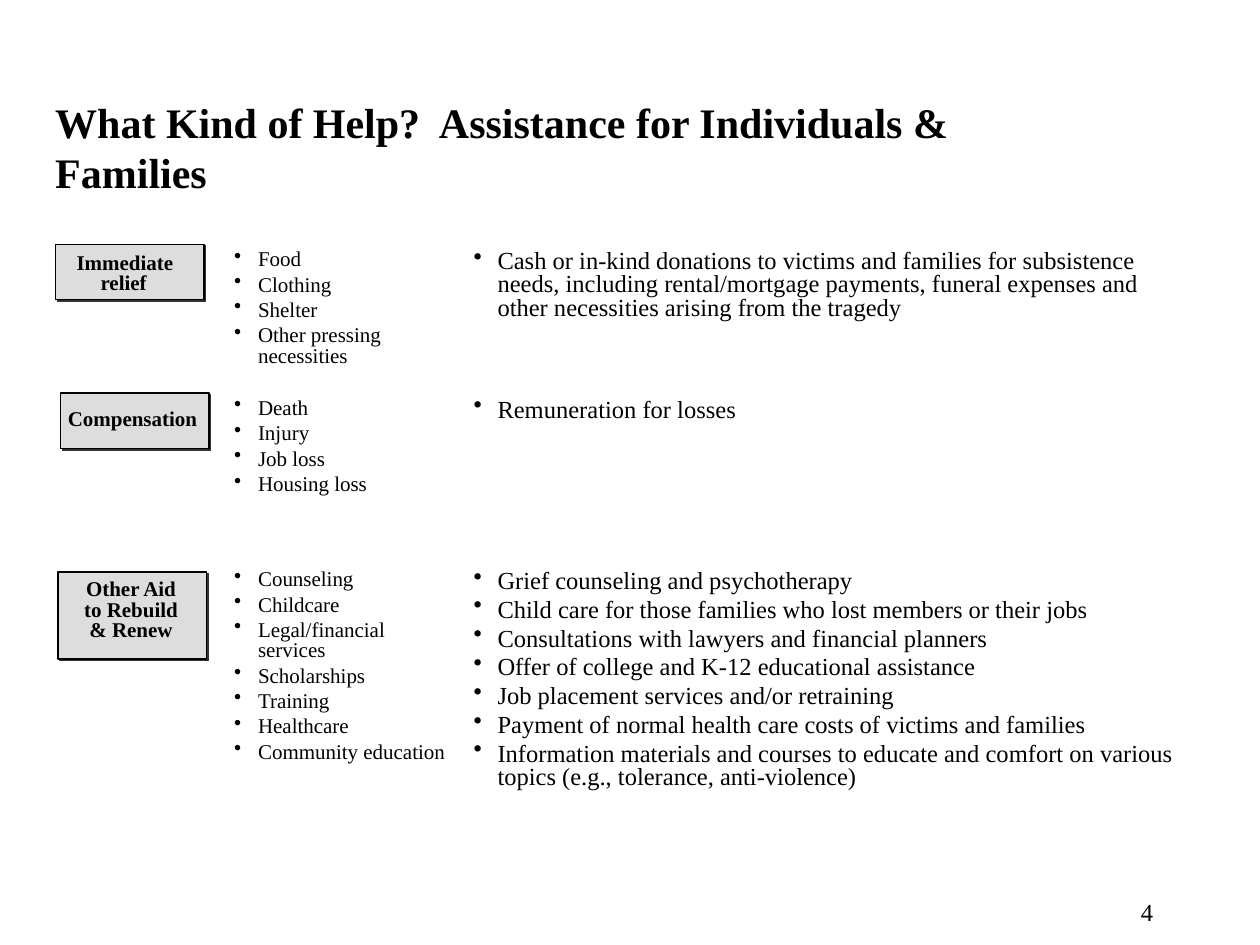
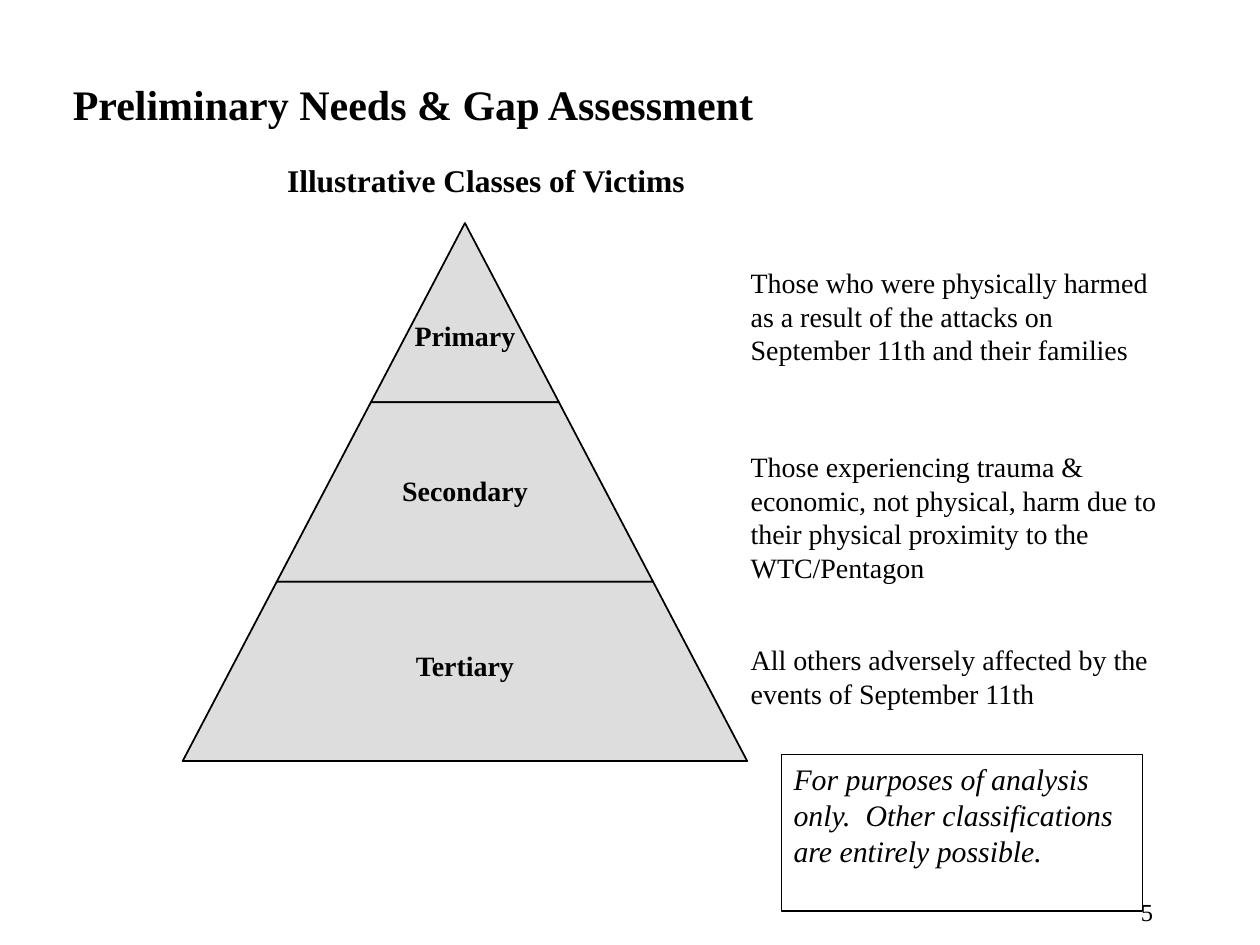
from dataclasses import dataclass
from typing import NamedTuple

from lxml.etree import SubElement
from pptx import Presentation
from pptx.dml.color import RGBColor
from pptx.enum.shapes import MSO_SHAPE
from pptx.enum.text import MSO_ANCHOR, PP_ALIGN
from pptx.oxml.ns import qn
from pptx.shapes.autoshape import Shape
from pptx.slide import Slide
from pptx.util import Inches, Pt

COLORS = {"ink": "000000", "panel": "DDDDDD", "shadow": "333333"}
FONT = "Times New Roman"
HANGING = 0.19


class Box(NamedTuple):
    left: float
    top: float
    width: float
    height: float


@dataclass(frozen=True)
class TextStyle:
    size: float
    bold: bool = False
    italic: bool = False
    align: PP_ALIGN = PP_ALIGN.LEFT
    anchor: MSO_ANCHOR = MSO_ANCHOR.TOP
    line_spacing: float = 1.0
    space_after: float = 0
    hanging: float = 0
    bullet: bool = False
    padded: bool = True


TITLE = TextStyle(24, bold=True, anchor=MSO_ANCHOR.MIDDLE)
SUBTITLE = TextStyle(18, bold=True, anchor=MSO_ANCHOR.MIDDLE)
PAGE_NUMBER = TextStyle(14, align=PP_ALIGN.RIGHT)
BADGE_HANGING = TextStyle(12, bold=True, line_spacing=0.8, hanging=HANGING)
BADGE_CENTERED = TextStyle(12, bold=True, line_spacing=0.8, align=PP_ALIGN.CENTER)
EXAMPLES = TextStyle(12, line_spacing=0.8, space_after=3, hanging=HANGING, bullet=True)
DETAILS = TextStyle(14, line_spacing=0.8, space_after=3, hanging=HANGING, bullet=True)
TIER_LABEL = TextStyle(16, bold=True, line_spacing=0.8, align=PP_ALIGN.CENTER,
                       anchor=MSO_ANCHOR.MIDDLE, padded=False)
DESCRIPTION = TextStyle(16)
NOTE = TextStyle(17, italic=True)


@dataclass(frozen=True)
class HelpKind:
    name: str
    badge: Box
    label: Box
    label_style: TextStyle
    list_top: float
    list_height: float
    examples: list[str]
    details: list[str]


@dataclass(frozen=True)
class Tier:
    name: str
    label_top: float
    description: str
    description_box: Box


HELP_KINDS = [
    HelpKind("Immediate relief", Box(0.44, 1.94, 1.18, 0.44), Box(0.51, 1.97, 1.03, 0.42),
             BADGE_HANGING, 1.94, 1.03,
             ["Food", "Clothing", "Shelter", "Other pressing necessities"],
             ["Cash or in-kind donations to victims and families for subsistence needs, "
              "including rental/mortgage payments, funeral expenses and other necessities "
              "arising from the tragedy"]),
    HelpKind("Compensation", Box(0.48, 3.12, 1.18, 0.44), Box(0.44, 3.21, 1.26, 0.42),
             BADGE_HANGING, 3.12, 0.87,
             ["Death", "Injury", "Job loss", "Housing loss"],
             ["Remuneration for losses"]),
    HelpKind("Other Aid to Rebuild & Renew", Box(0.46, 4.54, 1.18, 0.69),
             Box(0.5, 4.56, 1.08, 0.58), BADGE_CENTERED, 4.48, 1.63,
             ["Counseling", "Childcare", "Legal/financial\vservices", "Scholarships",
              "Training", "Healthcare", "Community education"],
             ["Grief counseling and psychotherapy",
              "Child care for those families who lost members or their jobs",
              "Consultations with lawyers and financial planners",
              "Offer of college and K-12 educational assistance",
              "Job placement services and/or retraining",
              "Payment of normal health care costs of victims and families",
              "Information materials and courses to educate and comfort on various topics "
              "(e.g., tolerance, anti-violence)"]),
]

TIERS = [
    Tier("Primary", 2.58,
         "Those who were physically harmed as a result of the attacks on September 11th "
         "and their families", Box(5.86, 2.06, 3.36, 1.17)),
    Tier("Secondary", 3.81,
         "Those experiencing trauma & economic, not physical, harm due to their physical "
         "proximity to the WTC/Pentagon", Box(5.86, 3.52, 3.67, 1.17)),
    Tier("Tertiary", 5.2,
         "All others adversely affected by the events of September 11th",
         Box(5.86, 5.05, 3.53, 0.64)),
]
PYRAMID = Box(1.45, 1.77, 4.48, 4.27)


def color(name: str) -> RGBColor:
    return RGBColor.from_string(COLORS[name])


def set_outline(shape: Shape, width: float) -> None:
    shape.line.color.rgb = color("ink")
    shape.line.width = Pt(width)


def paint_panel(shape: Shape, line_width: float) -> None:
    shape.shadow.inherit = False
    shape.fill.solid()
    shape.fill.fore_color.rgb = color("panel")
    set_outline(shape, line_width)


def add_text(slide: Slide, box: Box, lines: list[str], style: TextStyle) -> Shape:
    shape = slide.shapes.add_textbox(*map(Inches, box))
    frame = shape.text_frame
    frame.word_wrap = True
    frame.vertical_anchor = style.anchor
    if not style.padded:
        frame.margin_left = frame.margin_right = frame.margin_top = frame.margin_bottom = 0
    for index, line in enumerate(lines):
        paragraph = frame.paragraphs[0] if index == 0 else frame.add_paragraph()
        paragraph.text = line
        paragraph.alignment = style.align
        paragraph.line_spacing = style.line_spacing
        paragraph.space_after = Pt(style.space_after)
        properties = paragraph._p.get_or_add_pPr()
        if style.hanging:
            properties.set("marL", str(Inches(style.hanging)))
            properties.set("indent", str(-Inches(style.hanging)))
        if style.bullet:
            SubElement(properties, qn("a:buChar"), char="•")
        font = paragraph.font
        font.name = FONT
        font.size = Pt(style.size)
        font.bold = style.bold
        font.italic = style.italic
        font.color.rgb = color("ink")
    return shape


def add_badge(slide: Slide, box: Box) -> None:
    badge = slide.shapes.add_shape(MSO_SHAPE.RECTANGLE, *map(Inches, box))
    paint_panel(badge, 0.75)
    effects = badge._element.spPr.find(qn("a:effectLst"))
    shadow = SubElement(effects, qn("a:outerShdw"), dist=str(Pt(1.4)), dir=str(45 * 60000),
                        algn="ctr", rotWithShape="0")
    SubElement(shadow, qn("a:srgbClr"), val=COLORS["shadow"])


def add_tier(slide: Slide, index: int) -> None:
    center = PYRAMID.left + PYRAMID.width / 2
    step = PYRAMID.height / len(TIERS)
    slope = PYRAMID.width / 2 / len(TIERS)
    top, bottom = (PYRAMID.top + step * level for level in (index, index + 1))
    upper, lower = slope * index, slope * (index + 1)
    corners = [(center - upper, top), (center - lower, bottom), (center + lower, bottom)]
    if upper:
        corners.append((center + upper, top))
    points = [(Inches(x), Inches(y)) for x, y in corners]
    builder = slide.shapes.build_freeform(*points[0])
    builder.add_line_segments(points[1:], close=True)
    paint_panel(builder.convert_to_shape(), 1)


def add_slide(presentation: Presentation, title: str, title_box: Box, number: int) -> Slide:
    slide = presentation.slides.add_slide(presentation.slide_layouts[6])
    add_text(slide, title_box, [title], TITLE)
    add_text(slide, Box(7.17, 7.07, 2.08, 0.27), [str(number)], PAGE_NUMBER)
    return slide


def build_help_slide(presentation: Presentation) -> None:
    slide = add_slide(presentation, "What Kind of Help?  Assistance for Individuals & Families",
                      Box(0.34, 0.75, 8.5, 0.83), 4)
    for kind in HELP_KINDS:
        add_badge(slide, kind.badge)
        add_text(slide, kind.label, [kind.name], kind.label_style)
        add_text(slide, Box(1.76, kind.list_top, 2.1, kind.list_height), kind.examples, EXAMPLES)
        add_text(slide, Box(3.66, kind.list_top, 5.88, kind.list_height), kind.details, DETAILS)


def build_needs_slide(presentation: Presentation) -> None:
    slide = add_slide(presentation, "Preliminary Needs & Gap Assessment",
                      Box(0.48, 0.53, 8.67, 0.58), 5)
    add_text(slide, Box(2.18, 1.14, 3.56, 0.58), ["Illustrative Classes of Victims"], SUBTITLE)
    for index, tier in enumerate(TIERS):
        add_tier(slide, index)
        label = Box(PYRAMID.left, tier.label_top, PYRAMID.width, 0.21)
        add_text(slide, label, [tier.name], TIER_LABEL)
        add_text(slide, tier.description_box, [tier.description], DESCRIPTION)
    note = add_text(slide, Box(6.2, 5.99, 2.87, 1.24),
                    ["For purposes of analysis only.  Other classifications are entirely possible."],
                    NOTE)
    set_outline(note, 0.75)


def main() -> None:
    presentation = Presentation()
    presentation.slide_width = Inches(10)
    presentation.slide_height = Inches(7.5)
    build_help_slide(presentation)
    build_needs_slide(presentation)
    presentation.save("out.pptx")


if __name__ == "__main__":
    main()
